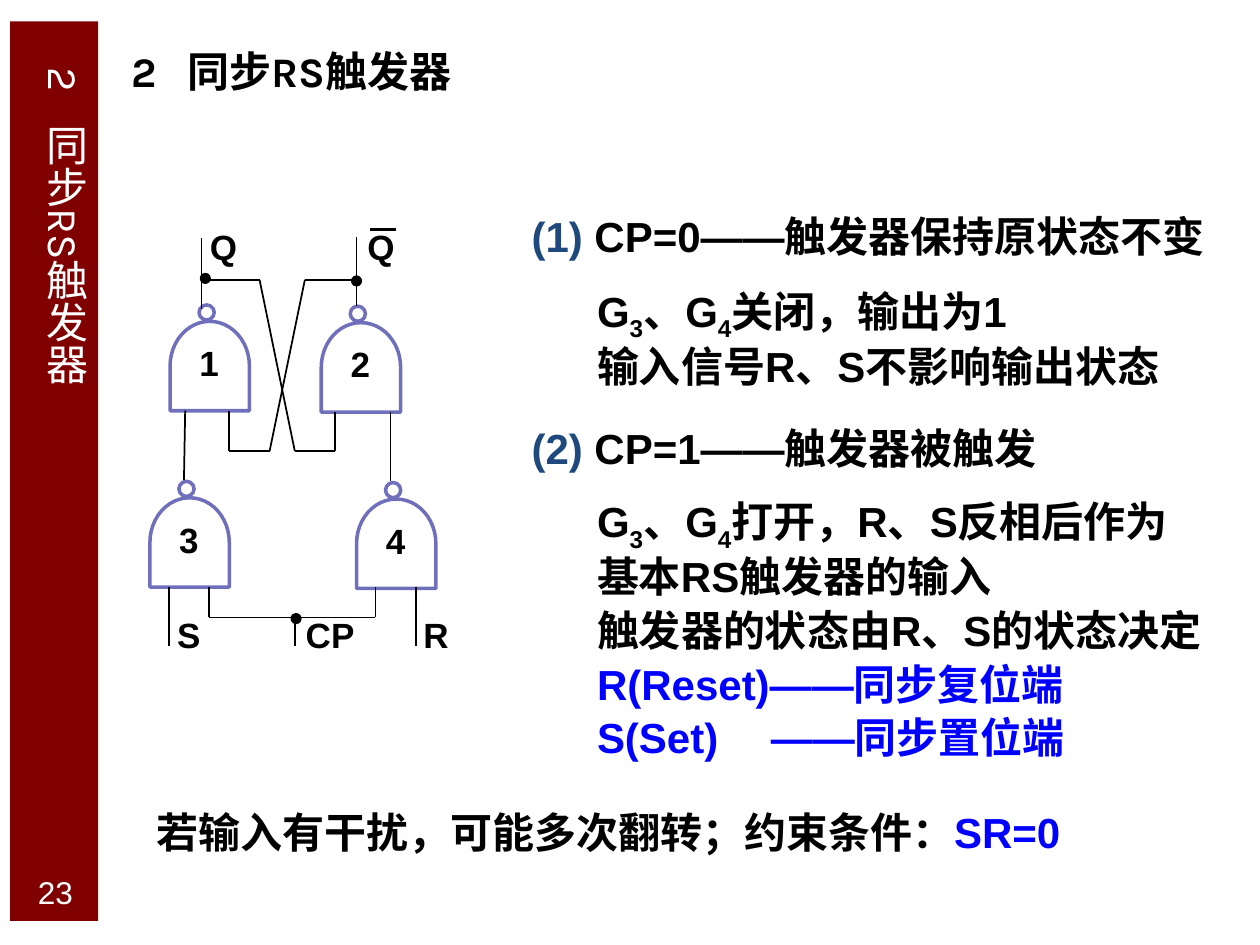
from itertools import pairwise

from lxml.etree import SubElement
from pptx import Presentation
from pptx.dml.color import RGBColor
from pptx.enum.shapes import MSO_CONNECTOR, MSO_SHAPE
from pptx.enum.text import MSO_ANCHOR, MSO_AUTO_SIZE, PP_ALIGN
from pptx.oxml.ns import qn
from pptx.util import Inches, Pt

BLACK = RGBColor(0x00, 0x00, 0x00)
WHITE = RGBColor(0xFF, 0xFF, 0xFF)
MAROON = RGBColor(0x80, 0x00, 0x00)
BLUE = RGBColor(0x00, 0x00, 0xFF)
NAVY = RGBColor(0x1F, 0x49, 0x7D)
VIOLET = RGBColor(0x6F, 0x6F, 0xBC)

CELL = Inches(10) / 100  # the slide is a grid of 100 columns and 75 rows
HEADING = "2\t同步RS触发器"
HEADING_TAB = 4.5


def cells(*counts):
    return [round(count * CELL) for count in counts]


def add_run(paragraph, text, size=24, color=BLACK, bold=True, name="Arial", subscript=False):
    run = paragraph.add_run()
    run.text = text
    font = run.font
    font.size, font.bold, font.name = Pt(size), bold, name
    font.color.rgb = color
    if subscript:
        font._element.set("baseline", "-25000")


def set_tab(paragraph, position):
    properties = paragraph._p.get_or_add_pPr()
    tabs = SubElement(properties, qn("a:tabLst"))
    SubElement(tabs, qn("a:tab"), pos=str(cells(position)[0]), algn="l")


def set_number(paragraph, number):
    """Number the paragraph as (1), (2) ... with a hanging indent."""
    properties = paragraph._p.get_or_add_pPr()
    indent = cells(3.8)[0]
    properties.set("marL", str(indent))
    properties.set("indent", str(-indent))
    color = SubElement(properties, qn("a:buClr"))
    SubElement(color, qn("a:srgbClr"), val=str(NAVY))
    SubElement(properties, qn("a:buAutoNum"), type="arabicParenBoth", startAt=str(number))


def add_text_box(shapes, *box):
    frame = shapes.add_textbox(*cells(*box)).text_frame
    frame.word_wrap = True
    return frame


def add_lines(shapes, box, lines, number=None, tab=None):
    """Each line is a list of (text, run options) pairs."""
    frame = add_text_box(shapes, *box)
    for index, line in enumerate(lines):
        paragraph = frame.add_paragraph() if index else frame.paragraphs[0]
        paragraph.line_spacing = 0.9
        if index:
            paragraph.space_before = Pt(4.8)
        if number:
            set_number(paragraph, number)
        if tab and any("\t" in text for text, _ in line):
            set_tab(paragraph, tab)
        for text, options in line:
            add_run(paragraph, text, **options)


def gates_line(ending):
    sub = {"subscript": True}
    return [("G", {}), ("3", sub), ("、G", {}), ("4", sub), (ending, {})]


def add_label(shapes, left, top, text, align=PP_ALIGN.CENTER):
    paragraph = add_text_box(shapes, left, top, 6.4, 4).paragraphs[0]
    paragraph.alignment = align
    paragraph.line_spacing = 0.9
    add_run(paragraph, text, size=20)


def add_outline(shapes, kind, box, color, fill=None):
    shape = shapes.add_shape(kind, *cells(*box))
    shape.shadow.inherit = False
    shape.line.color.rgb = color
    shape.line.width = Pt(2)
    if fill is None:
        shape.fill.background()
    else:
        shape.fill.solid()
        shape.fill.fore_color.rgb = fill
    return shape


def add_gate(shapes, center, top, number):
    """NAND gate that points up, with its inverting bubble at the top."""
    add_outline(shapes, MSO_SHAPE.OVAL, (center - 0.8, top, 1.2, 1.2), VIOLET)
    body = add_outline(shapes, MSO_SHAPE.FLOWCHART_DELAY,
                       (center - 3.5, top + 1.7, 7.1, 6.3), VIOLET)
    body.rotation = 270
    add_label(shapes, center - 3.2, top + 2.8, number)


def add_junction(shapes, x, y):
    add_outline(shapes, MSO_SHAPE.OVAL, (x - 0.3, y - 0.3, 0.6, 0.6), BLACK, BLACK)


def add_wire(shapes, *points, width=1):
    for start, end in pairwise(points):
        wire = shapes.add_connector(MSO_CONNECTOR.STRAIGHT, *cells(*start, *end))
        wire.line.color.rgb = BLACK
        wire.line.width = Pt(width)
        SubElement(wire._element.spPr, qn("a:effectLst"))


def add_circuit(slide):
    shapes = slide.shapes.add_group_shape().shapes
    for center, top, number in ((16.6, 24.2, "1"), (28.6, 24.3, "2"),
                                (15, 38.2, "3"), (31.4, 38.3, "4")):
        add_gate(shapes, center, top, number)

    # Outputs and cross-coupled feedback
    add_wire(shapes, (16, 24.5), (16, 18.9))
    add_wire(shapes, (28.3, 24.3), (28.3, 18.8))
    add_wire(shapes, (16.2, 22.2), (20.6, 22.2), (23.4, 35.8), (26.6, 35.8), (26.6, 32.7))
    add_wire(shapes, (28.2, 22.2), (24.2, 22.2), (21.4, 35.8), (18.2, 35.8), (18.2, 32.6))

    # Control gates to latch, then inputs S, CP and R
    add_wire(shapes, (14.6, 38.1), (14.7, 32.6))
    add_wire(shapes, (31, 38.2), (31, 32.7))
    add_wire(shapes, (16.6, 46.6), (16.6, 49), (29.8, 49), (29.8, 46.6))
    for x, top in ((13.4, 46.6), (23.4, 49), (33, 46.6)):
        add_wire(shapes, (x, 51.3), (x, top))
    for x, y in ((16.3, 22.1), (28.3, 22.3), (23.5, 49.1)):
        add_junction(shapes, x, y)

    for left, text in ((11.8, "S"), (23, "CP"), (31.4, "R")):
        add_label(shapes, left, 48.6, text)
    for left in (13.4, 25.9):
        add_label(shapes, left, 17.8, "Q", PP_ALIGN.RIGHT)
    add_wire(shapes, (29.4, 18.2), (31.4, 18.2), width=1.5)


def add_sidebar(slide):
    band = add_outline(slide.shapes, MSO_SHAPE.RECTANGLE, (0.8, 1.7, 7, 71.4), MAROON, MAROON)
    band.line.fill.background()

    frame = add_text_box(slide.shapes, 1.2, 4.4, 6.5, 67.2)
    frame._txBody.bodyPr.set("vert", "eaVert")
    set_tab(frame.paragraphs[0], HEADING_TAB)
    add_run(frame.paragraphs[0], HEADING, color=WHITE, bold=False, name="Karla")

    frame = add_text_box(slide.shapes, 1.2, 69, 6.4, 3.5)
    frame.vertical_anchor = MSO_ANCHOR.MIDDLE
    frame.paragraphs[0].alignment = PP_ALIGN.CENTER
    add_run(frame.paragraphs[0], "23", size=18, color=WHITE, bold=False)


def set_title(slide):
    title = slide.shapes.title
    title.left, title.top, title.width, title.height = cells(9.4, 2.1, 39.5, 6)
    frame = title.text_frame
    frame.auto_size = MSO_AUTO_SIZE.NONE
    frame.vertical_anchor = MSO_ANCHOR.BOTTOM
    paragraph = frame.paragraphs[0]
    paragraph.alignment = PP_ALIGN.LEFT
    set_tab(paragraph, HEADING_TAB)
    add_run(paragraph, HEADING, name="Karla")


def add_explanation(slide):
    shapes = slide.shapes
    blue = {"color": BLUE}
    add_lines(shapes, (11.4, 64, 83.1, 4.6),
              [[("若输入有干扰，可能多次翻转；约束条件：", {}), ("SR=0", blue)]])
    add_lines(shapes, (41.2, 16.7, 58.8, 5.1), [[(" CP=0——触发器保持原状态不变", {})]], number=1)
    add_lines(shapes, (46.4, 22.2, 53.6, 9),
              [gates_line("关闭，输出为1"), [("输入信号R、S不影响输出状态", {})]])
    add_lines(shapes, (41.2, 33.5, 58.8, 5.1), [[(" CP=1——触发器被触发", {})]], number=2)
    add_lines(shapes, (46.4, 38.9, 53.6, 22.4),
              [gates_line("打开，R、S反相后作为"),
               [("基本RS触发器的输入", {})],
               [("触发器的状态由R、S的状态决定", {})],
               [("R(Reset)——同步复位端", blue)],
               [("S(Set)\t——同步置位端", blue)]],
              tab=13.8)


def main():
    presentation = Presentation()
    presentation.slide_width, presentation.slide_height = cells(100, 75)
    slide = presentation.slides.add_slide(presentation.slide_layouts[5])
    add_sidebar(slide)
    set_title(slide)
    add_explanation(slide)
    add_circuit(slide)
    presentation.save("out.pptx")


if __name__ == "__main__":
    main()
